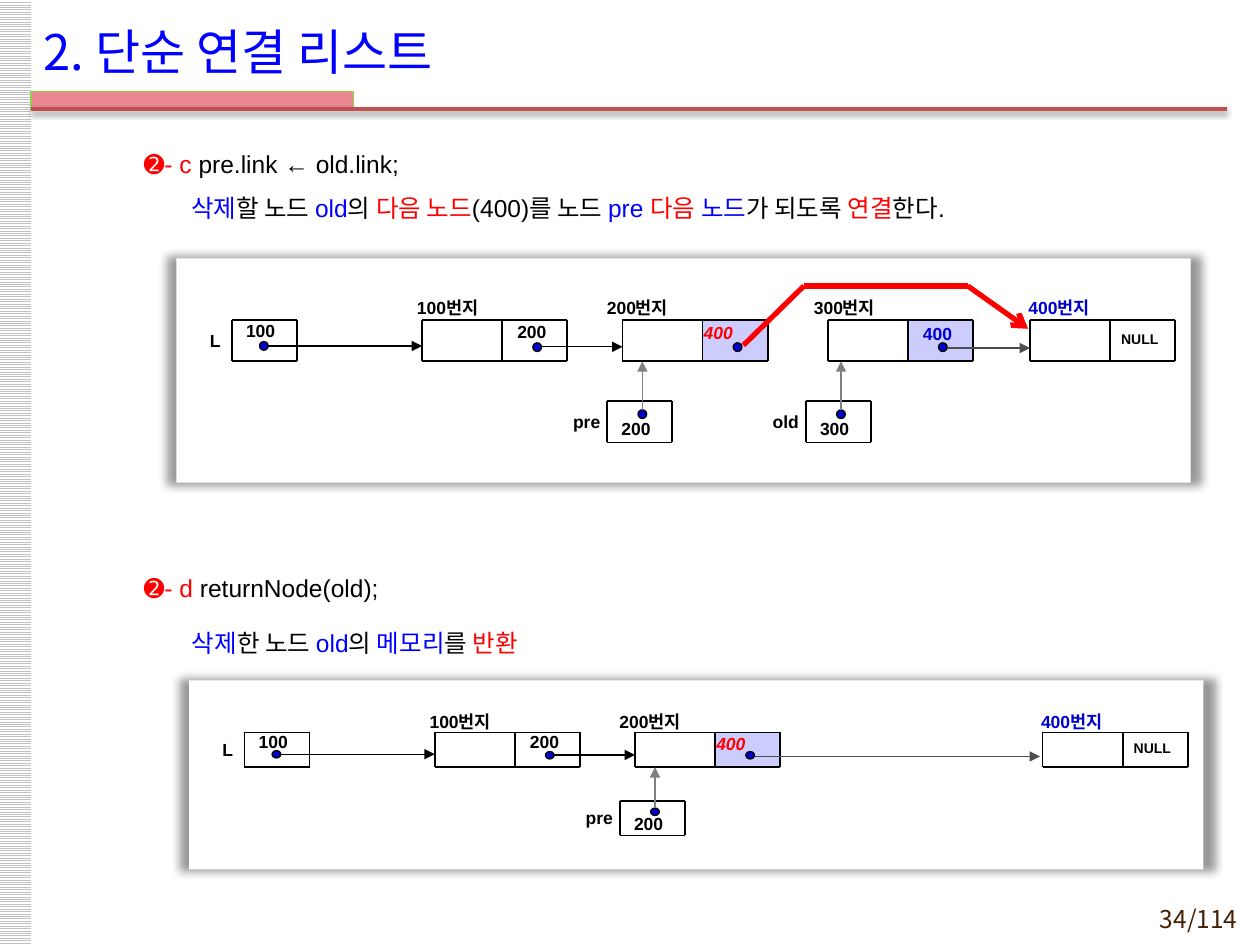
from lxml import etree
from pptx import Presentation
from pptx.dml.color import RGBColor
from pptx.enum.dml import MSO_PATTERN
from pptx.enum.shapes import MSO_CONNECTOR, MSO_SHAPE
from pptx.enum.text import MSO_ANCHOR, MSO_AUTO_SIZE, PP_ALIGN
from pptx.oxml.ns import qn
from pptx.util import Pt

RECT, OVAL = MSO_SHAPE.RECTANGLE, MSO_SHAPE.OVAL
LINE = MSO_CONNECTOR.STRAIGHT
LEFT, MID, RIGHT = PP_ALIGN.LEFT, PP_ALIGN.CENTER, PP_ALIGN.RIGHT
HANGUL = "Noto Sans CJK KR"
COLORS = {
    "black": "000000", "white": "FFFFFF", "red": "FF0000", "blue": "0000FF",
    "navy": "0000CC", "lilac": "CCCCFF", "gray": "808080", "slate": "4D4D4D",
    "silver": "C0C0C0", "pink": "EA8892", "green": "92D050",
    "brick": "C0504D", "brown": "452103",
}
CELL_H, DATA_W, LINK_W = 23.6, 45.8, 37.2
PANEL_W, PANEL_H = 579.6, 128.2
NODE_Y, VAR_Y = 35.3, 81.6


def ink(name):
    return RGBColor.from_string(COLORS[name])


def style(run, size, color, face="Arial", bold=False):
    """Format a run, with pair kerning off."""
    font = run.font
    font.size, font.name, font.bold = Pt(size), face, bold
    font.color.rgb = ink(color)
    props = run._r.get_or_add_rPr()
    props.set("kern", "0")
    etree.SubElement(props, qn("a:ea"), typeface=HANGUL)


def shade(shape, alpha, blur, dist=0, turn=0, scale=100):
    """Give the shape a soft black shadow; alpha and scale are in percent."""
    props = shape._element.spPr
    for old in props.findall(qn("a:effectLst")):
        props.remove(old)
    outer = etree.SubElement(
        etree.SubElement(props, qn("a:effectLst")), qn("a:outerShdw"),
        blurRad=str(Pt(blur)), dist=str(Pt(dist)), dir=str(turn * 60000),
        sx=str(scale * 1000), sy=str(scale * 1000), algn="ctr", rotWithShape="0")
    tone = etree.SubElement(outer, qn("a:srgbClr"), val=COLORS["black"])
    etree.SubElement(tone, qn("a:alpha"), val=str(alpha * 1000))


def block(shapes, kind, x, y, w, h, fill, line=None):
    shape = shapes.add_shape(kind, Pt(x), Pt(y), Pt(w), Pt(h))
    shape.shadow.inherit = False
    shape.fill.solid()
    shape.fill.fore_color.rgb = ink(fill)
    if line:
        shape.line.color.rgb = ink(line)
        shape.line.width = Pt(0.75)
    else:
        shape.line.fill.background()
    return shape


def stroke(shapes, start, end, color, width=0.75, head=None):
    wire = shapes.add_connector(LINE, *map(Pt, start + end))
    wire.line.color.rgb = ink(color)
    wire.line.width = Pt(width)
    if head:
        etree.SubElement(wire.line._get_or_add_ln(), qn("a:tailEnd"), type=head)
    etree.SubElement(wire._element.spPr, qn("a:effectLst"))
    return wire


def label(shapes, text, x, y, w, h, color="black", align=LEFT, size=10,
          face="Arial", bold=True, flush=False):
    """Place one line of text; flush drops all insets but the lower one."""
    box = shapes.add_textbox(Pt(x), Pt(y), Pt(w), Pt(h))
    frame = box.text_frame
    frame.word_wrap = True
    frame.vertical_anchor = MSO_ANCHOR.MIDDLE
    if flush:
        frame.margin_left = frame.margin_right = frame.margin_top = 0
    frame.text = text
    para = frame.paragraphs[0]
    para.alignment = align
    style(para.runs[0], size, color, face, bold)
    return para.runs[0]


def frame_page(slide):
    """Draw the striped edge, the header bar and the page number."""
    shapes = slide.shapes
    edge = block(shapes, RECT, -0.7, 0, 18.7, 540, "white")
    edge.fill.patterned()
    edge.fill.pattern = MSO_PATTERN.LIGHT_HORIZONTAL
    edge.fill.fore_color.rgb = ink("silver")
    edge.fill.back_color.rgb = ink("white")
    block(shapes, RECT, 17.8, 52.4, 184.3, 10, "pink", "green")
    shade(stroke(shapes, (17.8, 62.4), (701, 62.4), "brick", 2), 38, 3.1, 1.6, 90)
    label(shapes, "34/114", 638, 514.4, 76.3, 21, "brown", RIGHT, 14, HANGUL, False)


def seat(shape, x, y, w, h):
    shape.left, shape.top, shape.width, shape.height = map(Pt, (x, y, w, h))
    shape.text_frame.auto_size = MSO_AUTO_SIZE.NONE


def write_title(shape):
    seat(shape, 17.7, 6.5, 595.4, 45.4)
    shape.text_frame.vertical_anchor = MSO_ANCHOR.MIDDLE
    shape.text_frame.text = "2. 단순 연결 리스트"
    para = shape.text_frame.paragraphs[0]
    para.alignment = LEFT
    style(para.runs[0], 28, "blue", HANGUL)


def write_steps(shape):
    seat(shape, 18, 73.4, 684, 450)
    frame = shape.text_frame
    frame.margin_top = Pt(8.5)
    steps = [
        (57, 0, [("➋- c ", "red"), ("pre.link ← old.link;", "black")]),
        (84, 5, [("삭제", "blue"), ("할 노드 ", "black"), ("old", "blue"),
                 ("의 ", "black"), ("다음 노드", "red"), ("(400)를 노드 ", "black"),
                 ("pre ", "blue"), ("다음 ", "red"), ("노드", "blue"),
                 ("가 되도록 ", "black"), ("연결", "red"), ("한다.", "black")]),
        (57, 197.5, [("➋- d ", "red"), ("returnNode(old);", "black")]),
        (84.5, 11, [("삭제", "blue"), ("한 노드 ", "black"), ("old", "blue"),
                    ("의 ", "black"), ("메모리", "blue"), ("를 ", "black"),
                    ("반환", "red")]),
    ]
    for i, (indent, gap, parts) in enumerate(steps):
        para = frame.add_paragraph() if i else frame.paragraphs[0]
        props = para._p.get_or_add_pPr()
        props.set("marL", str(Pt(indent)))
        props.set("indent", "0")
        etree.SubElement(props, qn("a:buNone"))
        para.line_spacing, para.space_before = Pt(20), Pt(gap)
        for text, color in parts:
            run = para.add_run()
            run.text = text
            style(run, 14, color)


def draw_list(slide, left, top, high, freed):
    """Draw the linked list in a panel, without the old node once it is freed."""
    shapes = slide.shapes.add_group_shape().shapes
    k = high / PANEL_H

    def at(x, y):
        return left + x, top + k * y

    def cells(x, y, *widths):
        """Rule a row of cells: two rails and a post at each edge."""
        posts = [x + sum(widths[:i]) for i in range(len(widths) + 1)]
        low = y + CELL_H
        ends = [((x, edge), (posts[-1], edge)) for edge in (y, low)]
        ends += [((post, y), (post, low)) for post in posts]
        for start, end in ends:
            stroke(shapes, at(*start), at(*end), "black", 1)

    def note(text, x, y, w, h, *look, **more):
        return label(shapes, text, *at(x, y), w, k * h, *look, **more)

    def dot(x, y):
        block(shapes, OVAL, *at(x, y), 5, k * 5, "navy", "black")

    def arrow(start, end, color="black"):
        stroke(shapes, at(*start), at(*end), color, head="triangle")

    def node(name, x, shift, value=None, fill=None, color="black", inset=1.5,
             lift=0.7, tint="black"):
        """Draw a node; shift moves its address label left of its edge."""
        link = x + DATA_W
        if fill:
            block(shapes, RECT, *at(link + 0.5, NODE_Y + 0.5), LINK_W - 0.5,
                  k * (CELL_H - 1), fill, fill)
        cells(x, NODE_Y, DATA_W, LINK_W)
        note(name, x - shift, 22.3, 60, 11.5, tint)
        if value:
            dot(link + 17.5, NODE_Y + 13)
            return note(value, link + inset, NODE_Y + lift, 38, 11.5, color)
        null = note("null", link - 3.2, NODE_Y, 40.3, 23, align=MID, flush=True)
        null.font._element.set("cap", "small")

    def holder(name, x, y, value, drop, rise, inset, gap):
        """Draw a pointer variable; drop and rise place its value and dot."""
        cells(x, y, LINK_W)
        note(name, x - gap - 36, y + 2, 36, 23, align=RIGHT, flush=True)
        note(value, x + 1, y + drop, 35, 11.5)
        dot(x + inset, y + rise)

    def pointer(name, x, value):
        holder(name, x, VAR_Y, value, 10, 5, 17.6, 4)
        arrow((x + 20.1, VAR_Y + 5), (x + 20.1, NODE_Y + CELL_H), "gray")

    head, first, second, third, last = 31.7, 140.4, 254.9, 372.2, 487.8
    wire = NODE_Y + 15.3
    tail = DATA_W + 22.5
    panel = block(shapes, RECT, left, top, PANEL_W, high, "white")
    shade(panel, 40, 5, scale=102)
    holder("L", head, NODE_Y, "100", 0.3, 12.3, 15.8, 6.5)
    arrow((head + 20.8, NODE_Y + 14.8), (first, NODE_Y + 14.8))
    node("100번지", first, 10, "200")
    arrow((first + tail, wire), (second, wire))
    value = node("200번지", second, 16, "400", "lilac", "red", -6.5, 1.5)
    value.font.italic = True
    pointer("pre", 246.2, "200")
    node("400번지", last, 8, tint="navy")
    if freed:
        arrow((second + tail, wire + 1), (last - 1.5, wire + 1), "slate")
        return
    node("300번지", third, 15, "400", "lilac", "navy", 1.5, 2)
    arrow((third + tail, wire + 0.7), (last, wire + 0.7), "slate")
    pointer("old", 359.7, "300")
    bends = [(324, 49.7), (358.6, 15.8), (452.2, 15.8), (486.7, 40.3)]
    for start, end, tip in zip(bends, bends[1:], (None, None, "arrow")):
        stroke(shapes, at(*start), at(*end), "red", 3, tip)


def main():
    deck = Presentation()
    deck.slide_width, deck.slide_height = Pt(720), Pt(540)
    slide = deck.slides.add_slide(deck.slide_layouts[1])
    frame_page(slide)
    write_title(slide.shapes.title)
    write_steps(slide.placeholders[1])
    draw_list(slide, 100.8, 147.6, PANEL_H, freed=False)
    draw_list(slide, 108, 388.8, 108, freed=True)
    deck.save("out.pptx")


if __name__ == "__main__":
    main()
